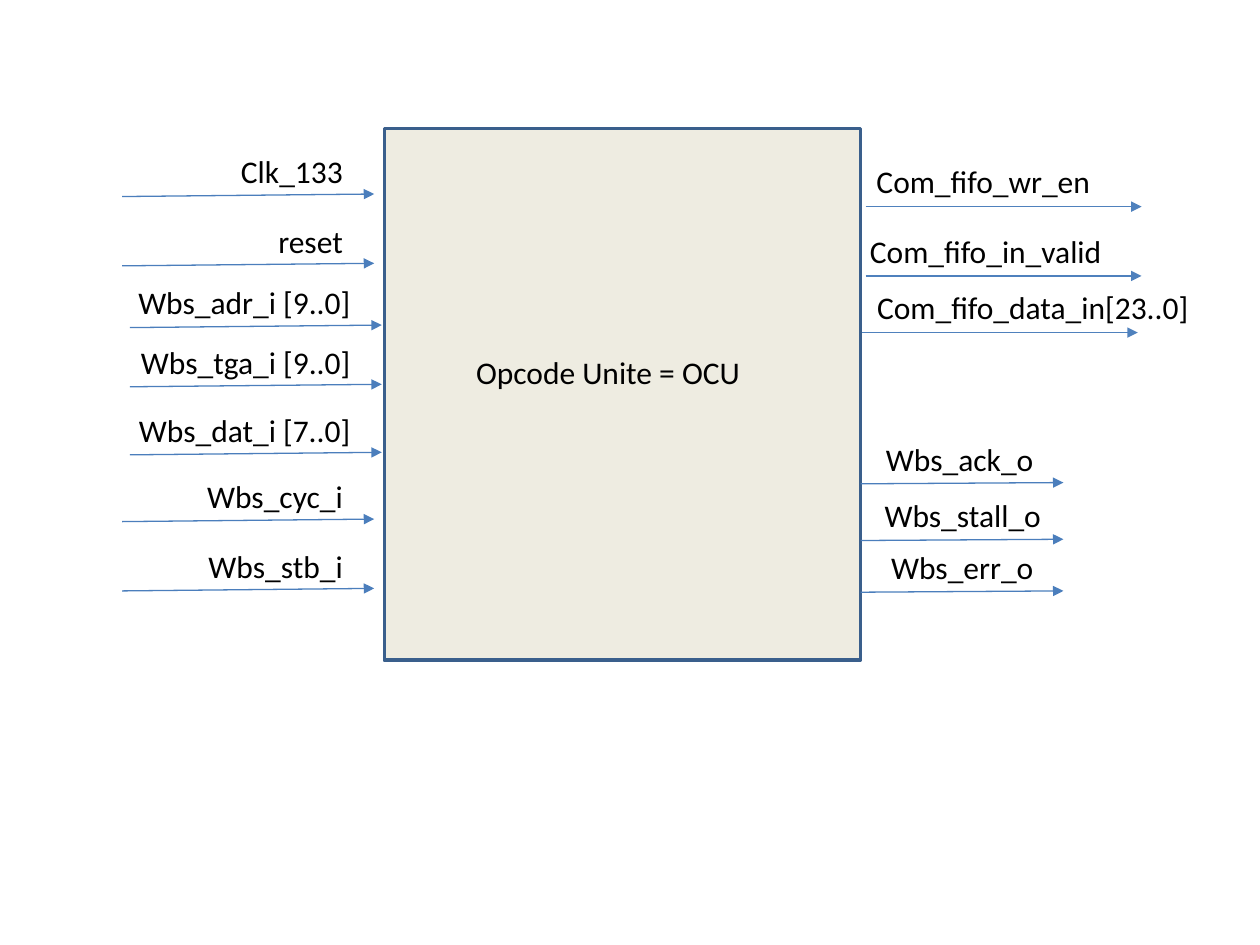
from pptx import Presentation
from pptx.dml.color import RGBColor
from pptx.enum import shapes, text
from pptx.oxml import ns
from pptx.util import Inches, Pt
from lxml import etree

THEME = {
    "font": "Calibri", "size": Pt(18), "ink": RGBColor.from_string("000000"),
    "block": RGBColor.from_string("EEECE1"), "border": RGBColor.from_string("3A5F8C"),
    "bus": RGBColor.from_string("4B7EBC"), "fifo": RGBColor.from_string("4F81BD"),
}

deck = Presentation()
deck.slide_width, deck.slide_height = Inches(10), Inches(7.5)
UNIT = deck.slide_width / 100  # square grid, 100 columns by 75 rows
page = deck.slides.add_slide(deck.slide_layouts[6])


def add_label(words, left, top, width, align):
    box = page.shapes.add_textbox(*(round(n * UNIT) for n in (left, top, width, 4.1)))
    box.text_frame.word_wrap = True
    para = box.text_frame.paragraphs[0]
    para.text, para.alignment = words, align
    para.font.name, para.font.size = THEME["font"], THEME["size"]
    para.font.color.rgb = THEME["ink"]


def add_signal(name, label_left, label_width, start, end, row, rise, color):
    """Draw an arrow starting on the given row, with its name above it."""
    add_label(name, label_left, row - 4, label_width, text.PP_ALIGN.RIGHT)
    arrow = page.shapes.add_connector(
        shapes.MSO_CONNECTOR.STRAIGHT,
        *(round(n * UNIT) for n in (start, row, end, row - rise)))
    arrow.line.color.rgb, arrow.line.width = color, Pt(0.75)
    etree.SubElement(arrow.line._get_or_add_ln(), ns.qn("a:tailEnd"), type="triangle")
    etree.SubElement(arrow._element.spPr, ns.qn("a:effectLst"))


block = page.shapes.add_shape(
    shapes.MSO_SHAPE.RECTANGLE, *(round(n * UNIT) for n in (30.5, 10.2, 37.8, 42.2)))
block.shadow.inherit = False
block.fill.solid()
block.fill.fore_color.rgb = THEME["block"]
block.line.color.rgb, block.line.width = THEME["border"], Pt(2)
add_label("Opcode Unite = OCU", 36.8, 27.5, 26.7, text.PP_ALIGN.LEFT)

# Inputs: name, row of the arrow, shift to the right
inputs = [
    ("Clk_133", 15.6, 0),
    ("reset", 21.1, 0),
    ("Wbs_adr_i [9..0]", 26, 0.6),
    ("Wbs_tga_i [9..0]", 30.7, 0.6),
    ("Wbs_dat_i [7..0]", 36.1, 0.6),
    ("Wbs_cyc_i", 41.4, 0),
    ("Wbs_stb_i", 46.9, 0),
]
for name, row, shift in inputs:
    add_signal(name, 6.2 + shift, 22, 9.7 + shift, 29.7 + shift, row, 0.2, THEME["bus"])

# FIFO outputs: name, left and width of the label, start and row of the arrow
fifo_outputs = [
    ("Com_fifo_wr_en", 65.5, 22, 68.7, 16.4),
    ("Com_fifo_in_valid", 66.4, 22, 68.7, 21.9),
    ("Com_fifo_data_in[23..0]", 67.4, 27.9, 68.4, 26.4),
]
for name, left, width, start, row in fifo_outputs:
    add_signal(name, left, width, start, start + 21.9, row, 0, THEME["fifo"])

# Bus outputs: name, left and width of the label, row of the arrow
bus_outputs = [
    ("Wbs_ack_o", 68.8, 14.2, 38.4),
    ("Wbs_stall_o", 68, 15.6, 42.9),
    ("Wbs_err_o", 68.8, 14.2, 47),
]
for name, left, width, row in bus_outputs:
    add_signal(name, left, width, 68.3, 84.4, row, 0.1, THEME["bus"])

deck.save("out.pptx")
